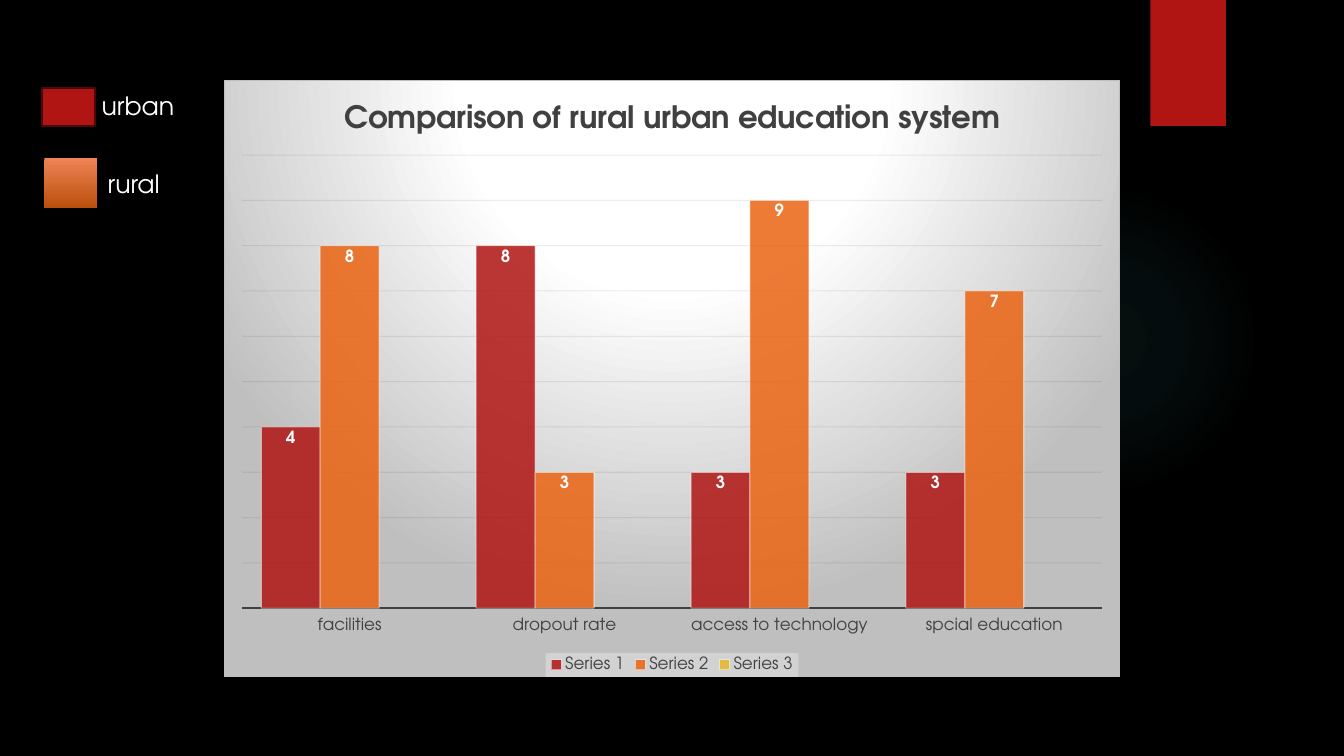
from lxml import etree
from pptx import Presentation
from pptx.chart.data import CategoryChartData
from pptx.dml.color import RGBColor
from pptx.enum.chart import XL_CHART_TYPE, XL_LABEL_POSITION, XL_LEGEND_POSITION, XL_TICK_LABEL_POSITION, XL_TICK_MARK
from pptx.enum.shapes import MSO_SHAPE
from pptx.enum.text import MSO_ANCHOR
from pptx.oxml import parse_xml
from pptx.oxml.ns import qn
from pptx.util import Inches, Pt

COLUMN = XL_CHART_TYPE.COLUMN_CLUSTERED
INSIDE = XL_LABEL_POSITION.INSIDE_END
BELOW = XL_LEGEND_POSITION.BOTTOM
LOW = XL_TICK_LABEL_POSITION.LOW
NO_TICK = XL_TICK_MARK.NONE
RECT, OVAL = MSO_SHAPE.RECTANGLE, MSO_SHAPE.OVAL
BOTTOM = MSO_ANCHOR.BOTTOM

FACE = "TeX Gyre Adventor"
INK = {"black": "000000", "white": "FFFFFF", "red": "B01513", "maroon": "4D0908",
       "orange": "EA6312", "gold": "E6B729", "teal": "50B9C1", "gray": "BFBFBF",
       "dark": "404040", "grid": "0D0D0D", "pale": "F2F2F2",
       "peach": "EE8455", "rust": "BC4F0E"}
TITLE = "Comparison of rural urban education system"
CATS = ["facilities", "dropout rate", "access to technology", "spcial education"]
SERIES = [("Series 1", [4, 8, 3, 3], "red"),
          ("Series 2", [8, 3, 9, 7], "orange"),
          ("Series 3", [None] * 4, "gold")]
CHART = (2.22, 0.79, 8.89, 5.93)
KEYS = [("urban", (0.91, 0.54, 0.96, 0.71)), ("rural", (0.97, 1.62, 0.96, 0.4))]
GLOW = [(0, "teal", 7), (36, "teal", 6), (69, "teal", 0)]
SHINE = [(0, "white", 100), (39, "white", 100), (100, "gray", 100)]
FADE = [(0, "peach", 100), (100, "rust", 100)]
SHAPES = [
    {"kind": OVAL, "at": (9.41, 1.83, 3.08, 3.08), "grad": GLOW, "focus": (50, 50, 50, 50)},
    {"kind": RECT, "at": (11.41, 0, 0.75, 1.25), "fill": "red", "shade": (45, 3, 2)},
    {"kind": RECT, "at": (0.42, 0.87, 0.52, 0.38), "fill": "red", "line": "maroon"},
    {"kind": RECT, "at": (0.44, 1.57, 0.52, 0.49), "grad": FADE, "shade": (60, 5, 3)},
]
NS = ('xmlns:a="http://schemas.openxmlformats.org/drawingml/2006/main" '
      'xmlns:c="http://schemas.openxmlformats.org/drawingml/2006/chart"')


def tone(name):
    return RGBColor.from_string(INK[name])


def style(font, **look):
    look = {"name": FACE, "bold": False, **look}
    font.color.rgb = tone(look.pop("ink"))
    for key, val in look.items():
        setattr(font, key, val)


def paint(fill, name):
    fill.solid()
    fill.fore_color.rgb = tone(name)


def clear(part, alpha):
    for clr in part.iter(qn("a:srgbClr")):
        etree.SubElement(clr, qn("a:alpha")).set("val", str(alpha * 1000))


def blend(stops, focus=None):
    marks = "".join(
        f'<a:gs pos="{pos * 1000}"><a:srgbClr val="{INK[name]}">'
        f'<a:alpha val="{alpha * 1000}"/></a:srgbClr></a:gs>' for pos, name, alpha in stops)
    way = '<a:lin ang="5400000" scaled="0"/>'
    if focus:
        sides = " ".join(f'{side}="{val * 1000}"' for side, val in zip("ltrb", focus))
        way = f'<a:path path="circle"><a:fillToRect {sides}/></a:path>'
    return f'<a:gradFill {NS} rotWithShape="1"><a:gsLst>{marks}</a:gsLst>{way}</a:gradFill>'


def shade(alpha, blur, dist):
    return parse_xml(
        f'<a:outerShdw {NS} blurRad="{Pt(blur)}" dist="{Pt(dist)}" dir="5400000" '
        f'algn="ctr" rotWithShape="0"><a:srgbClr val="{INK["black"]}">'
        f'<a:alpha val="{alpha * 1000}"/></a:srgbClr></a:outerShdw>')


def draw(slide, item):
    shape = slide.shapes.add_shape(item["kind"], *map(Inches, item["at"]))
    shape.shadow.inherit = False
    props = shape.element.spPr
    if "fill" in item:
        paint(shape.fill, item["fill"])
    else:
        geom = props.find(qn("a:prstGeom"))
        geom.addnext(parse_xml(blend(item["grad"], item.get("focus"))))
    if "line" in item:
        shape.line.color.rgb = tone(item["line"])
        shape.line.width = Pt(1.5)
    else:
        shape.line.fill.background()
    if "shade" in item:
        props.find(qn("a:effectLst")).append(shade(*item["shade"]))


def label(slide, text, at):
    frame = slide.shapes.add_textbox(*map(Inches, at)).text_frame
    frame.word_wrap = True
    frame.vertical_anchor = BOTTOM
    run = frame.paragraphs[0].add_run()
    run.text = text
    style(run.font, size=Pt(18), ink="white")


def plot(slide):
    data = CategoryChartData()
    data.categories = CATS
    for name, vals, _ in SERIES:
        data.add_series(name, vals)
    chart = slide.shapes.add_chart(COLUMN, *map(Inches, CHART), data).chart
    style(chart.font, size=Pt(10), ink="white")
    chart.has_title = True
    head = chart.chart_title.text_frame.paragraphs[0].add_run()
    head.text = TITLE
    style(head.font, size=Pt(22), bold=True, ink="dark")
    chart.has_legend = True
    legend = chart.legend
    legend.position = BELOW
    legend.include_in_layout = False
    style(legend.font, size=Pt(12), ink="dark")
    back = parse_xml(f'<c:spPr {NS}><a:solidFill><a:srgbClr val="{INK["pale"]}"/>'
                     '</a:solidFill><a:ln><a:noFill/></a:ln></c:spPr>')
    clear(back, 39)
    legend._element.find(qn("c:txPr")).addprevious(back)

    axis = chart.category_axis
    axis.major_tick_mark = NO_TICK
    axis.tick_label_position = LOW
    style(axis.tick_labels.font, size=Pt(12), ink="dark")
    axis.format.line.color.rgb = tone("dark")
    axis.format.line.width = Pt(1.5)
    scale = chart.value_axis
    for key, val in {"visible": False, "minimum_scale": 0, "maximum_scale": 10,
                     "major_unit": 1, "has_major_gridlines": True}.items():
        setattr(scale, key, val)
    grid = scale.major_gridlines
    grid.format.line.color.rgb = tone("grid")
    grid.format.line.width = Pt(0.75)
    clear(scale._element.find(qn("c:majorGridlines")), 8)

    bars = chart.plots[0]
    for key, val in {"gap_width": 65, "overlap": 0, "vary_by_categories": False}.items():
        setattr(bars, key, val)
    for row, (_, _, name) in zip(bars.series, SERIES):
        row.invert_if_negative = False
        paint(row.format.fill, name)
        clear(row._element.spPr, 85)
        row.format.line.color.rgb = tone("white")
        row.format.line.width = Pt(0.75)
        clear(row._element.spPr.find(qn("a:ln")), 50)
        tags = row.data_labels
        tags.show_value = True
        tags.position = INSIDE
        style(tags.font, size=Pt(12), bold=True, ink="white")

    chart._chartSpace.find(qn("c:chart")).addnext(parse_xml(
        f'<c:spPr {NS}>{blend(SHINE, (50, -80, 50, 180))}<a:ln w="{Pt(0.75)}"><a:solidFill>'
        f'<a:srgbClr val="{INK["gray"]}"/></a:solidFill></a:ln></c:spPr>'))


def main():
    deck = Presentation()
    deck.slide_width, deck.slide_height = Inches(13.33), Inches(7.5)
    slide = deck.slides.add_slide(deck.slide_layouts[6])
    paint(slide.background.fill, "black")
    for item in SHAPES[:2]:
        draw(slide, item)
    plot(slide)
    for item, key in zip(SHAPES[2:], KEYS):
        draw(slide, item)
        label(slide, *key)
    deck.save("out.pptx")


if __name__ == "__main__":
    main()
